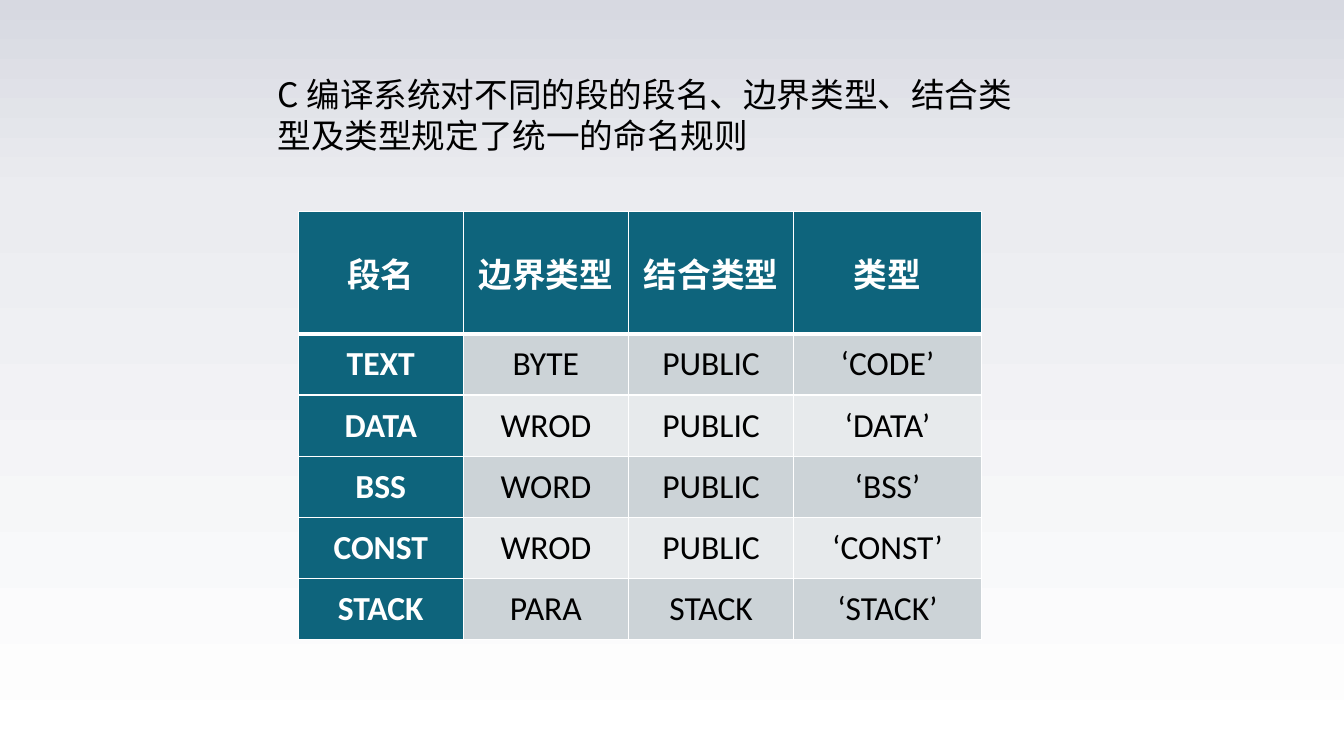
from copy import deepcopy
from pptx import Presentation
from pptx.dml.color import RGBColor
from pptx.enum.text import MSO_ANCHOR as ANCHOR, MSO_AUTO_SIZE as AUTO, PP_ALIGN as ALIGN
from pptx.oxml.ns import qn
from pptx.util import Pt
from lxml.etree import SubElement

WHITE = RGBColor(0xFF, 0xFF, 0xFF)
BLACK = RGBColor(0, 0, 0)
TEAL = RGBColor(0x0E, 0x64, 0x7C)
BANDS = [RGBColor(0xCC, 0xD3, 0xD7), RGBColor(0xE7, 0xEA, 0xEC)]
BACKDROP = [(0, RGBColor(0xD7, 0xD9, 0xE1)),
            (0.26, RGBColor(0xEB, 0xEC, 0xF0)),
            (1, WHITE)]
TITLE_FONT = "Noto Sans CJK SC"
TABLE_FONT = "Calibri"
TITLE = "C 编译系统对不同的段的段名、边界类型、结合类型及类型规定了统一的命名规则"
SEGMENTS = [
    ("段名", "边界类型", "结合类型", "类型"),
    ("TEXT", "BYTE", "PUBLIC", "‘CODE’"),
    ("DATA", "WROD", "PUBLIC", "‘DATA’"),
    ("BSS", "WORD", "PUBLIC", "‘BSS’"),
    ("CONST", "WROD", "PUBLIC", "‘CONST’"),
    ("STACK", "PARA", "STACK", "‘STACK’"),
]


def paint_background(s):
    fill = s.background.fill
    fill.gradient()
    fill.gradient_angle = 270
    gs = next(s.element.iter(qn("a:gs")))
    gs.addnext(deepcopy(gs))
    for stop, (position, color) in zip(fill.gradient_stops, BACKDROP):
        stop.position = position
        stop.color.rgb = color


def add_title(s, left, top, width, height):
    sp = s.shapes.title
    sp.left, sp.top, sp.width, sp.height = Pt(left), Pt(top), Pt(width), Pt(height)
    tf = sp.text_frame
    tf.text = TITLE
    tf.word_wrap = True
    tf.auto_size = AUTO.NONE
    tf.vertical_anchor = ANCHOR.TOP
    p = tf.paragraphs[0]
    p.alignment = ALIGN.LEFT
    p.line_spacing = Pt(29)
    p.font.size = Pt(24)
    p.font.color.rgb = BLACK
    p.font.name = TITLE_FONT
    SubElement(p.runs[0].font._element, qn("a:ea"), typeface=TITLE_FONT)


def add_borders(cell, top, bottom):
    tcPr = cell._tc.get_or_add_tcPr()
    for side, width in (("L", 1), ("R", 1), ("T", top), ("B", bottom)):
        ln = SubElement(tcPr, qn(f"a:ln{side}"), w=str(Pt(width)))
        SubElement(SubElement(ln, qn("a:solidFill")), qn("a:srgbClr"), val=str(WHITE))


def format_cell(cell, text, row, col):
    heading = row == 0 or col == 0
    add_borders(cell, top=3 if row == 1 else 1, bottom=3 if row == 0 else 1)
    cell.fill.solid()
    cell.fill.fore_color.rgb = TEAL if heading else BANDS[(row - 1) % 2]
    cell.margin_left = cell.margin_right = Pt(5)
    cell.margin_top = cell.margin_bottom = Pt(0)
    cell.vertical_anchor = ANCHOR.MIDDLE
    cell.text = text
    p = cell.text_frame.paragraphs[0]
    p.alignment = ALIGN.CENTER
    p.font.name = TABLE_FONT
    p.font.size = Pt(24)
    p.font.bold = heading
    p.font.color.rgb = WHITE if heading else BLACK


def add_segment_table(s, left, top, width, height):
    rows, cols = len(SEGMENTS), len(SEGMENTS[0])
    table = s.shapes.add_table(rows, cols, Pt(left), Pt(top), Pt(width), Pt(height)).table
    last_width = 134
    for column in table.columns:
        column.width = Pt((width - last_width) / (cols - 1))
    table.columns[cols - 1].width = Pt(last_width)
    row_height = height / (rows + 1)
    for i, segment in enumerate(SEGMENTS):
        table.rows[i].height = Pt(row_height * (2 if i == 0 else 1))
        for j, text in enumerate(segment):
            format_cell(table.cell(i, j), text, i, j)


def main():
    prs = Presentation()
    prs.slide_width, prs.slide_height = Pt(960), Pt(540)
    s = prs.slides.add_slide(prs.slide_layouts[5])
    paint_background(s)
    add_title(s, 191, 49, 550, 65.5)
    add_segment_table(s, 213, 151, 488, 306)
    prs.save("out.pptx")


if __name__ == "__main__":
    main()
